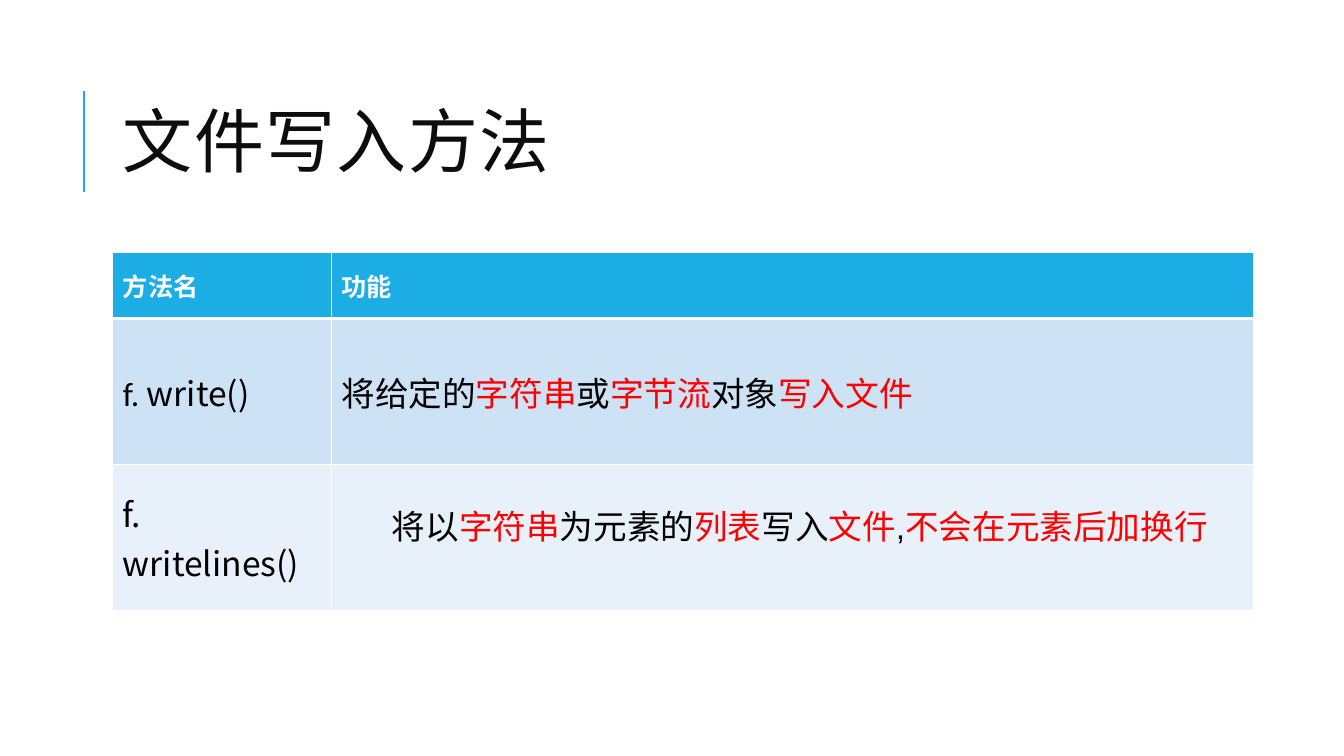
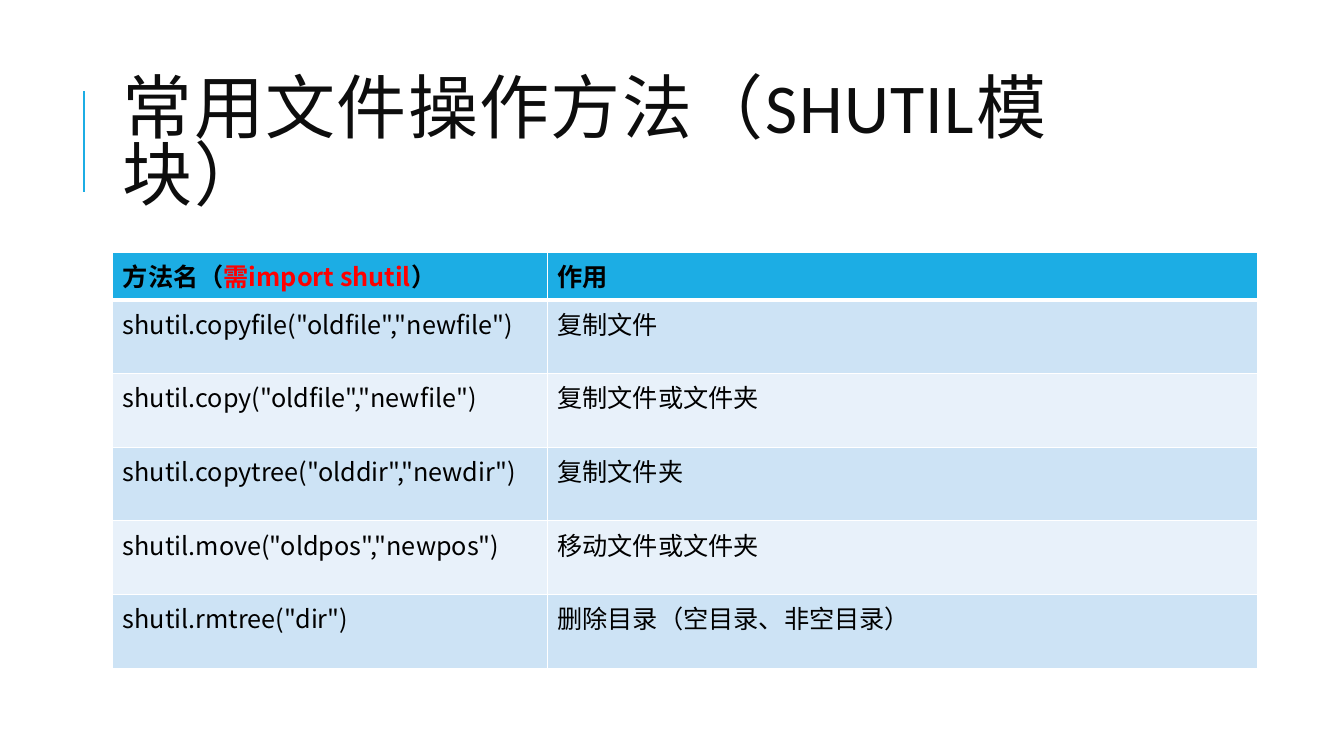
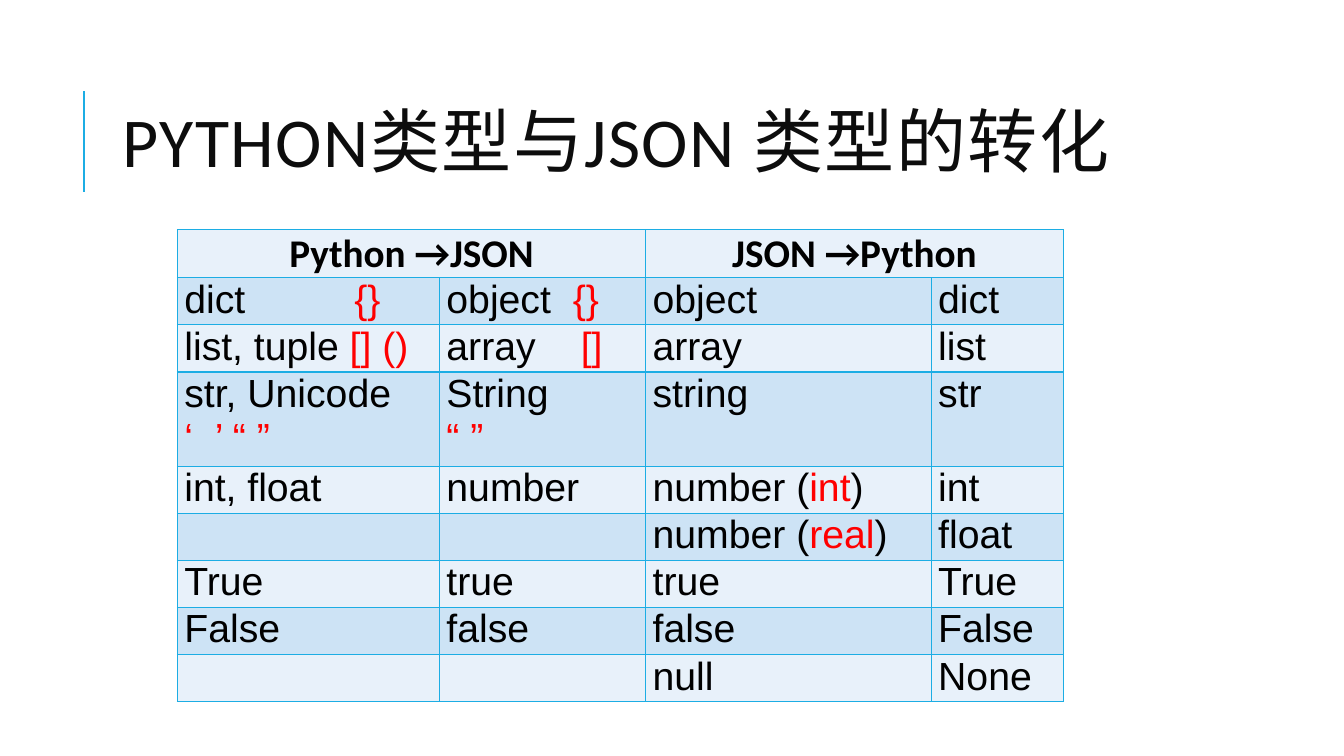
from dataclasses import dataclass, replace

from lxml import etree
from pptx import Presentation
from pptx.dml.color import RGBColor
from pptx.enum.shapes import MSO_CONNECTOR
from pptx.enum.text import MSO_ANCHOR, PP_ALIGN
from pptx.oxml.ns import qn
from pptx.util import Pt

STRAIGHT = MSO_CONNECTOR.STRAIGHT
MIDDLE, TOP = MSO_ANCHOR.MIDDLE, MSO_ANCHOR.TOP
CENTER, LEFT = PP_ALIGN.CENTER, PP_ALIGN.LEFT


@dataclass(frozen=True)
class Theme:
    blue: str = "1CADE4"
    band_dark: str = "CDE3F5"
    band_light: str = "E8F1FA"
    white: str = "FFFFFF"
    black: str = "000000"
    title_ink: str = "0D0D0D"
    accent: str = "FF0000"
    title_size: int = 50
    large_size: int = 28
    body_size: int = 24
    small_size: int = 18
    latin: str = "Calibri"
    plain: str = "Arial"
    chinese: str = "Noto Sans CJK SC"


THEME = Theme()


@dataclass(frozen=True)
class TextStyle:
    size: int
    font: str
    color: str = THEME.black
    bold: bool = False
    spacing: int = 0


@dataclass(frozen=True)
class Cell:
    paras: list
    align: int = LEFT
    indent: float = 0
    tab: float = 0
    bottom: float = 0


@dataclass(frozen=True)
class TableLook:
    border: str
    anchor: int = TOP
    side_margin: float = 7.2
    end_margin: float = 3.6
    header_fill: str = THEME.blue
    header_line: float = 3
    bands: tuple = (THEME.band_dark, THEME.band_light)


TITLE = TextStyle(THEME.title_size, THEME.latin, THEME.title_ink, spacing=100)


def marked(text, style):
    accent = replace(style, color=THEME.accent)
    return [(part, accent if index % 2 else style)
            for index, part in enumerate(text.split("|")) if part]


def cell_of(text, style, **options):
    return Cell([marked(line, style) for line in text.split("\n")], **options)


def add_span(para, text, style):
    span = para.add_run()
    span.text = text
    font = span.font
    font.size = Pt(style.size)
    font.bold = style.bold
    font.name = style.font
    font.color.rgb = RGBColor.from_string(style.color)
    properties = span._r.get_or_add_rPr()
    etree.SubElement(properties, qn("a:ea"), typeface=THEME.chinese)
    if style.spacing:
        properties.set("spc", str(style.spacing))


def add_title(page, text):
    rule = page.shapes.add_connector(STRAIGHT, Pt(60), Pt(136.8), Pt(60), Pt(64.8))
    rule.line.color.rgb = RGBColor.from_string(THEME.blue)
    rule.line.width = Pt(1.5)
    etree.SubElement(rule._element.spPr, qn("a:effectLst"))
    box = page.shapes.add_textbox(Pt(80.6), Pt(46), Pt(765.4), Pt(118))
    frame = box.text_frame
    frame.word_wrap = True
    frame.vertical_anchor = MIDDLE
    para = frame.paragraphs[0]
    para.line_spacing = 0.8
    add_span(para, text, TITLE)


def set_border(cell, side, color, width):
    line = etree.SubElement(cell._tc.get_or_add_tcPr(), qn(f"a:ln{side}"),
                            w=str(Pt(width)))
    fill = etree.SubElement(line, qn("a:solidFill"))
    etree.SubElement(fill, qn("a:srgbClr"), val=color)


def fill_cell(cell, content, row, look):
    heavy = {(0, "B"), (1, "T")}
    for side in "LRTB":
        width = look.header_line if (row, side) in heavy else 1
        set_border(cell, side, look.border, width)
    color = look.bands[(row - 1) % 2] if row else look.header_fill
    cell.fill.solid()
    cell.fill.fore_color.rgb = RGBColor.from_string(color)
    cell.vertical_anchor = look.anchor
    cell.margin_left = cell.margin_right = Pt(look.side_margin)
    cell.margin_top = Pt(look.end_margin)
    cell.margin_bottom = Pt(look.end_margin + content.bottom)
    for index, spans in enumerate(content.paras):
        frame = cell.text_frame
        para = frame.add_paragraph() if index else frame.paragraphs[0]
        para.alignment = content.align
        properties = para._p.get_or_add_pPr()
        if content.indent:
            properties.set("marL", str(Pt(content.indent)))
            properties.set("indent", "0")
        if content.tab:
            stops = etree.SubElement(properties, qn("a:tabLst"))
            etree.SubElement(stops, qn("a:tab"), pos=str(Pt(content.tab)), algn="l")
        for text, style in spans:
            add_span(para, text, style)


def add_grid(page, left, top, widths, heights, rows, look):
    frame = page.shapes.add_table(len(heights), len(widths), Pt(left), Pt(top),
                                  Pt(sum(widths)), Pt(sum(heights)))
    table = frame.table
    for column, width in zip(table.columns, widths):
        column.width = Pt(width)
    for row, height in zip(table.rows, heights):
        row.height = Pt(height)
    for r, row in enumerate(rows):
        for c, content in enumerate(row):
            fill_cell(table.cell(r, c), content, r, look)
    return table


def build_write_methods(page):
    add_title(page, "文件写入方法")
    header = TextStyle(THEME.small_size, THEME.latin, THEME.white, True)
    prefix = TextStyle(THEME.body_size, THEME.latin)
    method = replace(prefix, font=THEME.chinese)
    body = replace(prefix, font=THEME.plain)
    rows = [
        [cell_of("方法名", header), cell_of("功能", header)],
        [Cell([[("f.", prefix), (" write()", method)]]),
         cell_of("将给定的|字符串|或|字节流|对象|写入文件", body)],
        [cell_of("f. writelines()", method),
         cell_of("将以|字符串|为元素的|列表|写入|文件|,|不会在元素后加换行", body,
                 indent=36, bottom=18.6)],
    ]
    add_grid(page, 80.6, 180, [156.2, 658.8], [47.5, 104.4, 104.4], rows,
             TableLook(THEME.white, MIDDLE))


def build_shutil_methods(page):
    add_title(page, "常用文件操作方法（SHUTIL模块）")
    body = TextStyle(THEME.small_size, THEME.chinese)
    header = replace(body, bold=True)
    methods = [
        ('shutil.copyfile("oldfile","newfile")', "复制文件"),
        ('shutil.copy("oldfile","newfile")', "复制文件或文件夹"),
        ('shutil.copytree("olddir","newdir")', "复制文件夹"),
        ('shutil.move("oldpos","newpos")', "移动文件或文件夹"),
        ('shutil.rmtree("dir")', "删除目录（空目录、非空目录）"),
    ]
    rows = [[cell_of("方法名（|需import shutil|）", header), cell_of("作用", header)]]
    rows += [[cell_of(text, body) for text in pair] for pair in methods]
    add_grid(page, 80.6, 180, [310.3, 507.6], [34.3] + [52.6] * len(methods), rows,
             TableLook(THEME.white))


def build_json_types(page):
    add_title(page, "PYTHON类型与JSON 类型的转化")
    body = TextStyle(THEME.large_size, THEME.plain)
    header = replace(body, font=THEME.latin, bold=True)
    tabs = {"dict\t|{}": 121.4, "object\t|{}": 90.3, "array\t|[]": 96,
            "str, Unicode\n|‘\t’ “ ”": 21.8}
    types = [
        ("dict\t|{}", "object\t|{}", "object", "dict"),
        ("list, tuple |[] ()", "array\t|[]", "array", "list"),
        ("str, Unicode\n|‘\t’ “ ”", "String\n|“ ”", "string", "str"),
        ("int, float", "number", "number (|int|)", "int"),
        ("", "", "number (|real|)", "float"),
        ("True", "true", "true", "True"),
        ("False", "false", "false", "False"),
        ("", "", "null", "None"),
    ]
    headings = ("Python →JSON", "", "JSON →Python", "")
    rows = [[cell_of(text, header, align=CENTER) for text in headings]]
    rows += [[cell_of(text, body, tab=tabs.get(text, 0)) for text in row]
             for row in types]
    heights = [34.2] + [62.4 if "\n" in row[0] else 31.2 for row in types]
    look = TableLook(THEME.blue, side_margin=5, end_margin=0,
                     header_fill=THEME.band_light, header_line=1)
    table = add_grid(page, 126.7, 164.2, [187.2, 147.3, 204, 94.3], heights, rows, look)
    for column in (0, 2):
        table.cell(0, column).merge(table.cell(0, column + 1))


def main():
    deck = Presentation()
    deck.slide_width, deck.slide_height = Pt(960), Pt(540)
    for build in (build_write_methods, build_shutil_methods, build_json_types):
        build(deck.slides.add_slide(deck.slide_layouts[6]))
    deck.save("out.pptx")


if __name__ == "__main__":
    main()
